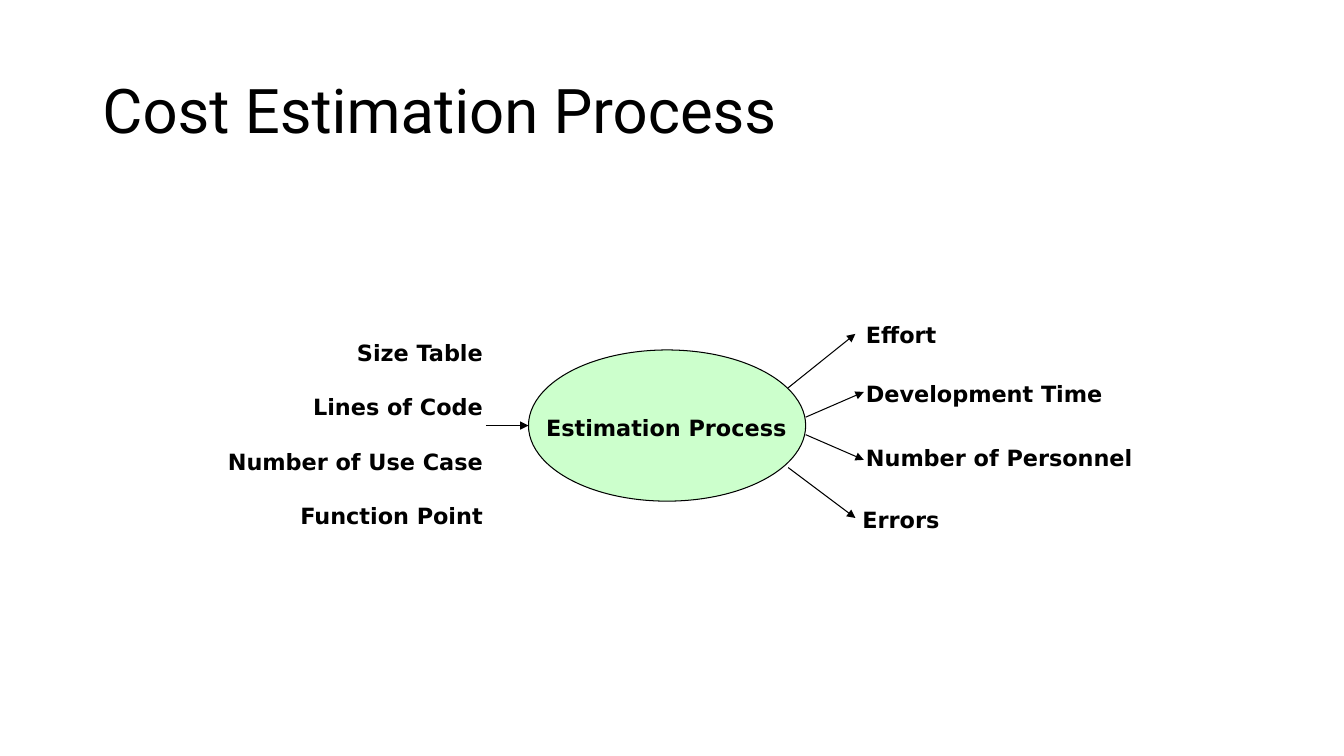
"""Build the cost estimation process slide."""
from dataclasses import dataclass

from lxml.etree import SubElement
from pptx import Presentation
from pptx.dml.color import RGBColor
from pptx.enum.shapes import MSO_CONNECTOR as Link, MSO_SHAPE as Shape
from pptx.enum.text import MSO_ANCHOR as Anchor, MSO_AUTO_SIZE as Fit, PP_ALIGN as Align
from pptx.oxml.ns import qn
from pptx.slide import Slide
from pptx.text.text import TextFrame
from pptx.util import Pt

BLACK = "000000"
GREEN = "CCFFCC"


@dataclass(frozen=True)
class Label:
    text: str
    left: float
    top: float
    width: float
    height: float = 27
    align: Align = Align.LEFT
    gap: float = 0


@dataclass(frozen=True)
class Arrow:
    x1: float
    y1: float
    x2: float
    y2: float


LABELS = [
    Label("Size Table\nLines of Code\nNumber of Use Case\nFunction Point",
          154, 238.5, 198, 138, Align.RIGHT, 19.7),
    Label("Estimation Process", 383, 292.5, 198),
    Label("Effort", 611.5, 226, 81),
    Label("Development Time", 611.5, 268, 216),
    Label("Number of Personnel", 611.5, 314, 210),
    Label("Errors", 609, 358, 81),
]

ARROWS = [
    Arrow(347, 304, 377.5, 304),
    Arrow(563, 277, 611, 238.5),
    Arrow(575.5, 298, 617, 280),
    Arrow(575.5, 310.5, 617, 328.5),
    Arrow(563, 334, 611, 370),
]


def color(value: str) -> RGBColor:
    return RGBColor.from_string(value)


def write(frame: TextFrame, text: str, *, font: str = "DejaVu Sans", size: float = 16,
          bold: bool = True, align: Align = Align.LEFT, anchor: Anchor = Anchor.TOP,
          gap: float = 0, line: float = 1.0) -> None:
    frame.word_wrap = True
    frame.auto_size = Fit.NONE
    frame.vertical_anchor = anchor
    frame.text = text
    for i, para in enumerate(frame.paragraphs):
        para.alignment = align
        para.line_spacing = line
        para.space_before = Pt(gap if i else 0)
        for run in para.runs:
            run.font.name = font
            run.font.size = Pt(size)
            run.font.bold = bold
            run.font.color.rgb = color(BLACK)


def add_title(slide: Slide, text: str) -> None:
    title = slide.shapes.title
    title.left, title.top, title.width, title.height = Pt(66), Pt(29), Pt(828), Pt(104.5)
    write(title.text_frame, text, font="Roboto", size=44, bold=False,
          anchor=Anchor.MIDDLE, line=0.9)


def add_oval(slide: Slide) -> None:
    oval = slide.shapes.add_shape(Shape.OVAL, Pt(377.5), Pt(250), Pt(198), Pt(108))
    oval.shadow.inherit = False
    oval.fill.solid()
    oval.fill.fore_color.rgb = color(GREEN)
    oval.line.color.rgb = color(BLACK)
    oval.line.width = Pt(0.75)


def add_label(slide: Slide, label: Label) -> None:
    box = slide.shapes.add_textbox(Pt(label.left), Pt(label.top),
                                   Pt(label.width), Pt(label.height))
    write(box.text_frame, label.text, align=label.align, gap=label.gap)


def add_arrow(slide: Slide, arrow: Arrow) -> None:
    link = slide.shapes.add_connector(Link.STRAIGHT, Pt(arrow.x1), Pt(arrow.y1),
                                      Pt(arrow.x2), Pt(arrow.y2))
    link.line.color.rgb = color(BLACK)
    link.line.width = Pt(0.75)
    SubElement(link.line._get_or_add_ln(), qn("a:tailEnd"), type="triangle")
    SubElement(link._element.spPr, qn("a:effectLst"))


def main() -> None:
    deck = Presentation()
    deck.slide_width, deck.slide_height = Pt(960), Pt(540)
    slide = deck.slides.add_slide(deck.slide_layouts.get_by_name("Title Only"))
    add_title(slide, "Cost Estimation Process")
    add_oval(slide)
    for label in LABELS:
        add_label(slide, label)
    for arrow in ARROWS:
        add_arrow(slide, arrow)
    deck.save("out.pptx")


if __name__ == "__main__":
    main()
